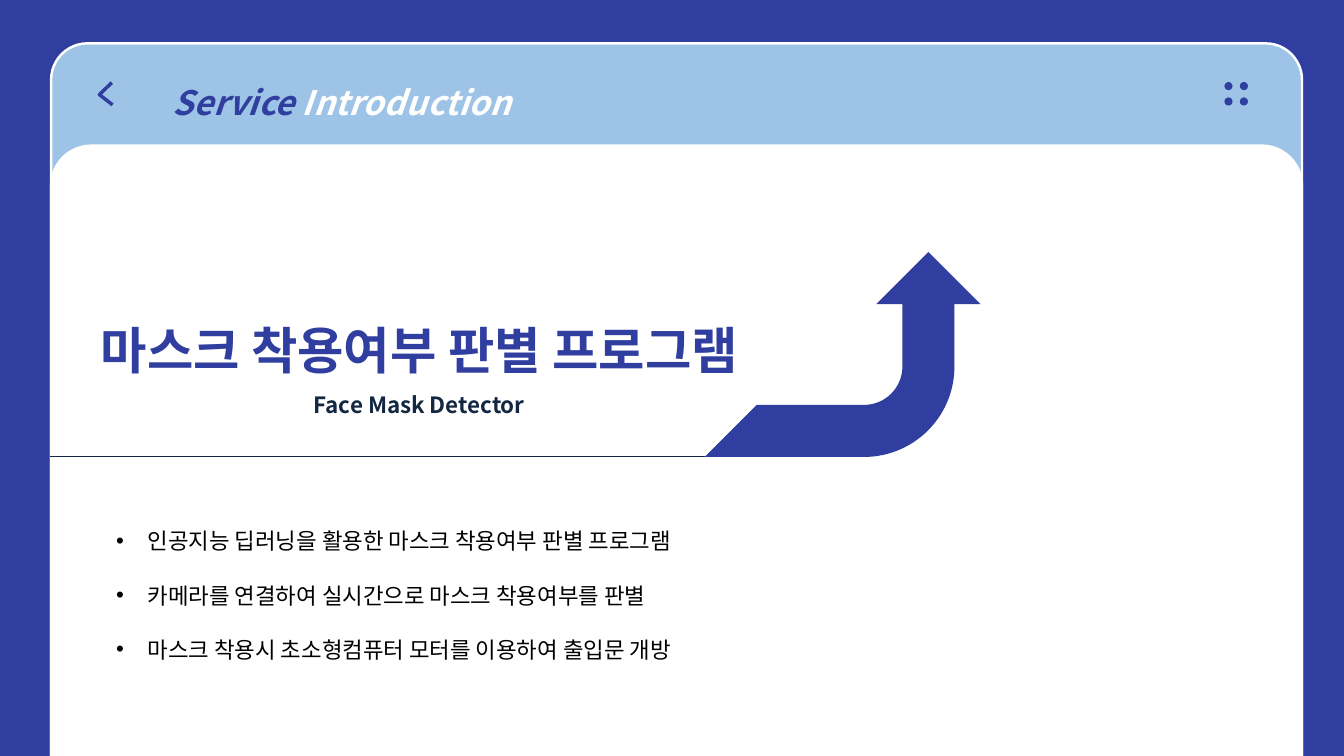
import math
from lxml import etree
from pptx import Presentation
from pptx import util as u
from pptx.dml.color import RGBColor
from pptx.enum import shapes, text
from pptx.oxml.ns import qn

FONT = "Noto Sans CJK KR"
BLUE, SKY, WHITE, NAVY, BLACK = "303F9F", "9DC3E6", "FFFFFF", "132742", "000000"


def colour(value):
    return RGBColor.from_string(value)


def paint(shape, fill=None, line=None, weight=1.75):
    shape.shadow.inherit = False
    if fill:
        shape.fill.solid()
        shape.fill.fore_color.rgb = colour(fill)
    else:
        shape.fill.background()
    if line:
        shape.line.color.rgb = colour(line)
        shape.line.width = u.Pt(weight)
    else:
        shape.line.fill.background()


def add_preset(page, kind, box, **look):
    shape = page.shapes.add_shape(kind, *(u.Pt(length) for length in box))
    paint(shape, **look)
    return shape


def add_outline(page, points, close=True, **look):
    corners = [(u.Pt(x), u.Pt(y)) for x, y in points]
    builder = page.shapes.build_freeform(*corners[0])
    builder.add_line_segments(corners[1:], close=close)
    paint(builder.convert_to_shape(), **look)


def add_frame(page, box):
    frame = page.shapes.add_textbox(*(u.Pt(length) for length in box)).text_frame
    frame.word_wrap = True
    frame.margin_left = frame.margin_right = 0
    frame.margin_top = frame.margin_bottom = 0
    return frame


def add_para(frame, pitch, align=text.PP_ALIGN.LEFT):
    first = frame.paragraphs[0]
    para = frame.add_paragraph() if first.runs else first
    para.line_spacing = u.Pt(pitch)
    para.alignment = align
    return para


def add_span(para, words, size=16, tint=BLACK, bold=False, italic=False):
    span = para.add_run()
    span.text = words
    font = span.font
    font.size, font.bold, font.italic = u.Pt(size), bold, italic
    font.name = FONT
    font.color.rgb = colour(tint)
    etree.SubElement(font._element, qn("a:ea")).set("typeface", FONT)


def add_bullet(para, indent):
    props = para._p.get_or_add_pPr()
    props.set("marL", str(u.Pt(indent)))
    props.set("indent", str(-u.Pt(indent)))
    etree.SubElement(props, qn("a:buFont")).set("typeface", "Arial")
    etree.SubElement(props, qn("a:buChar")).set("char", "•")


def draw_window(page, box):
    left, top, width, height = box
    bar = 73
    panels = [(box, SKY, 0.051),
              ((left, top + bar, width, height - bar), WHITE, 0.066)]
    for place, fill, corner in panels:
        panel = add_preset(page, shapes.MSO_SHAPE.ROUND_2_SAME_RECTANGLE,
                           place, fill=fill, line=WHITE)
        panel.adjustments[0] = corner
        panel.adjustments[1] = 0

    # Back chevron
    add_outline(page, [(left + 43.4, top + 28), (left + 34.5, top + 36.6),
                       (left + 43.9, top + 43.9)],
                close=False, line=BLUE, weight=2.5)

    # Menu dots
    dot, step = 5.8, 11
    for index in range(4):
        row, column = divmod(index, 2)
        add_preset(page, shapes.MSO_SHAPE.OVAL,
                   (left + width - 55.4 + column * step,
                    top + 27.6 + row * step, dot, dot), fill=BLUE)

    # Window title
    para = add_para(add_frame(page, (left + 87, top + 20, 400, 36)), 36)
    for words, tint in [("Service ", BLUE), ("Introduction", WHITE)]:
        add_span(para, words, size=24, tint=tint, bold=True, italic=True)


def draw_arrow(page, box):
    left, top, width, height = box
    right, bottom = left + width, top + height
    shaft, bend = 37.2, 27.4
    half = shaft / 2
    middle = right - shaft
    head = top + shaft
    centre_x, centre_y = middle - half - bend, bottom - shaft - bend

    def arc(radius):
        return [(centre_x + radius * math.cos(math.radians(angle)),
                 centre_y + radius * math.sin(math.radians(angle)))
                for angle in range(0, 91, 3)]

    outer, inner = arc(bend + shaft), arc(bend)
    add_outline(page, [(middle, top), (right, head), (middle + half, head),
                       *outer, (left, bottom), (left + shaft, bottom - shaft),
                       *reversed(inner), (middle - half, head),
                       (middle - shaft, head)], fill=BLUE)


def draw_rule(page, left, right, level):
    rule = page.shapes.add_connector(
        shapes.MSO_CONNECTOR.STRAIGHT,
        u.Pt(right), u.Pt(level), u.Pt(left), u.Pt(level))
    rule.line.color.rgb = colour(NAVY)
    rule.line.width = u.Pt(0.5)
    etree.SubElement(rule._element.spPr, qn("a:effectLst"))


def draw_heading(page, box):
    frame = add_frame(page, box)
    lines = [("마스크 착용여부 판별 프로그램", 36, BLUE, 54),
             ("Face Mask Detector", 16, NAVY, 27.3)]
    for words, size, tint, pitch in lines:
        para = add_para(frame, pitch, align=text.PP_ALIGN.CENTER)
        add_span(para, words, size=size, tint=tint, bold=True)


def draw_features(page, box):
    frame = add_frame(page, box)
    for words in ["인공지능 딥러닝을 활용한 마스크 착용여부 판별 프로그램",
                  "카메라를 연결하여 실시간으로 마스크 착용여부를 판별",
                  "마스크 착용시 초소형컴퓨터 모터를 이용하여 출입문 개방"]:
        para = add_para(frame, 38.57)
        add_bullet(para, 22.5)
        add_span(para, words)


deck = Presentation()
deck.slide_width, deck.slide_height = u.Pt(960), u.Pt(540)
page = deck.slides.add_slide(deck.slide_layouts[6])
page.background.fill.solid()
page.background.fill.fore_color.rgb = colour(BLUE)

draw_window(page, (36.5, 31, 893.5, 509))
draw_arrow(page, (503.4, 180, 197, 146.4))
draw_rule(page, 35.5, 503.4, 326.2)
draw_heading(page, (55.5, 217, 488, 82))
draw_features(page, (83, 357.5, 409, 116))
deck.save("out.pptx")
